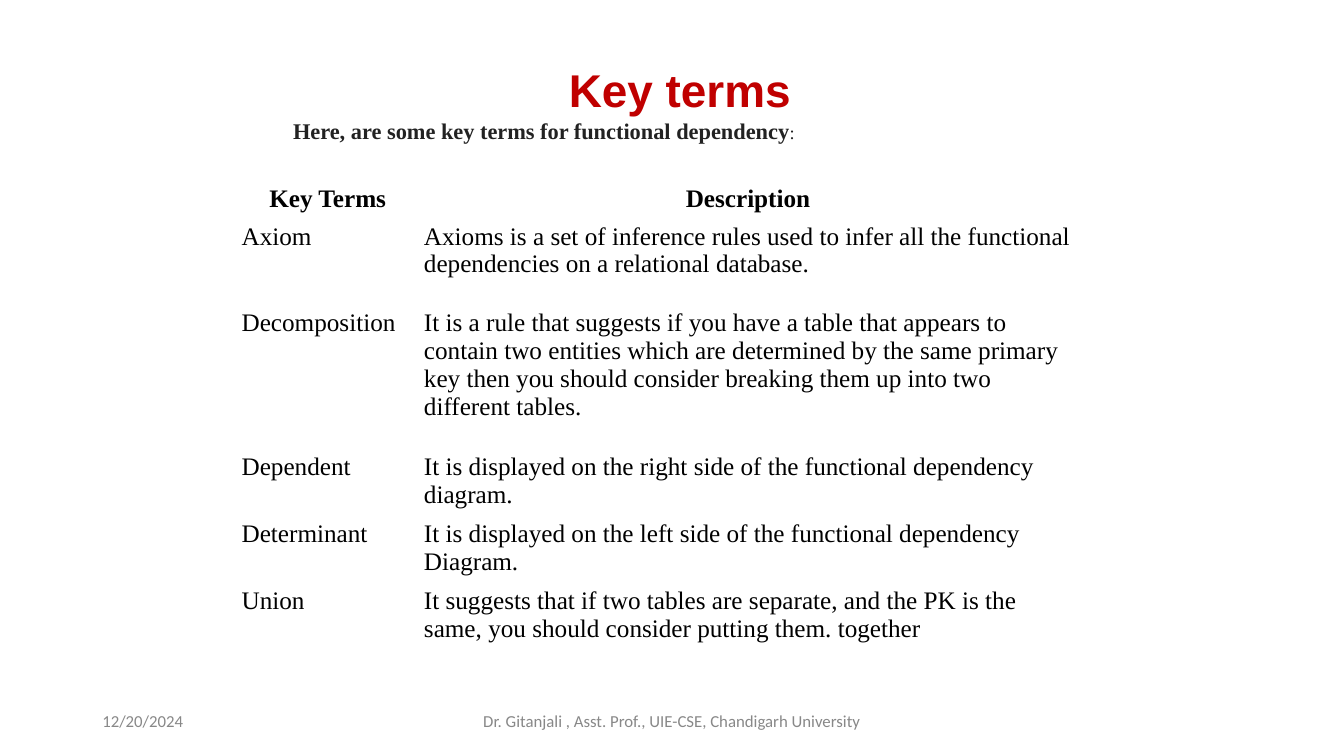
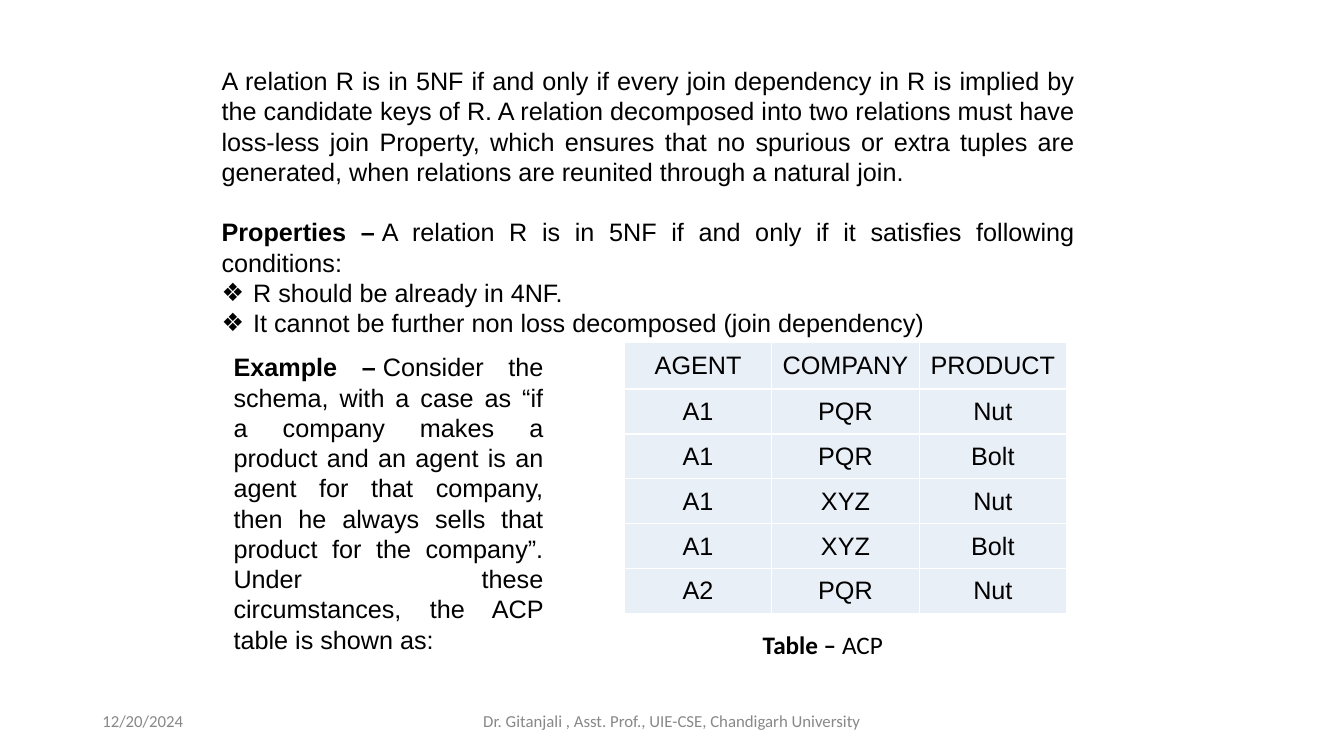
from dataclasses import dataclass

from lxml.etree import SubElement
from pptx import Presentation
from pptx.dml.color import RGBColor
from pptx.enum.shapes import MSO_SHAPE
from pptx.enum.text import MSO_ANCHOR, PP_ALIGN
from pptx.oxml.ns import qn
from pptx.util import Pt


@dataclass(frozen=True)
class Theme:
    black: str = "000000"
    white: str = "FFFFFF"
    title_red: str = "C00000"
    subtitle_gray: str = "222222"
    footer_gray: str = "888888"
    cell_blue: str = "E9EFF7"
    sans: str = "Arial"
    serif: str = "Times New Roman"
    humanist: str = "Calibri"
    title_size: float = 32.8
    body_size: float = 18
    subtitle_size: float = 16
    colon_size: float = 13
    footer_size: float = 12


THEME = Theme()
LEFT, CENTER, JUSTIFY = PP_ALIGN.LEFT, PP_ALIGN.CENTER, PP_ALIGN.JUSTIFY
FIXED_SPACE = chr(160)

DATE = "12/20/2024"
LECTURER = "Dr. Gitanjali , Asst. Prof., UIE-CSE, Chandigarh University"

KEY_TERMS = [
    ("Key Terms", "Description"),
    ("Axiom", "Axioms is a set of inference rules used to infer all the functional "
              "dependencies on a relational database."),
    ("Decomposition", "It is a rule that suggests if you have a table that appears to "
                      "contain two entities which are determined by the same primary key "
                      "then you should consider breaking them up into two different tables."),
    ("Dependent", f"It is displayed on the{FIXED_SPACE}right side of the functional "
                  "dependency diagram."),
    ("Determinant", "It is displayed on the left side of the functional dependency Diagram."),
    ("Union", "It suggests that if two tables are separate, and the PK is the same, "
              "you should consider putting them. together"),
]

ACP = [
    ("AGENT", "COMPANY", "PRODUCT"),
    ("A1", "PQR", "Nut"),
    ("A1", "PQR", "Bolt"),
    ("A1", "XYZ", "Nut"),
    ("A1", "XYZ", "Bolt"),
    ("A2", "PQR", "Nut"),
]

FIFTH_NORMAL_FORM = (
    "A relation R is in 5NF if and only if every join dependency in R is implied by the "
    "candidate keys of R. A relation decomposed into two relations must have loss-less join "
    "Property, which ensures that no spurious or extra tuples are generated, when relations "
    "are reunited through a natural join.")
PROPERTIES = "A relation R is in 5NF if and only if it satisfies following conditions:"
CONDITIONS = [
    "R should be already in 4NF.",
    "It cannot be further non loss decomposed (join dependency)",
]
EXAMPLE = (
    "Consider the schema, with a case as “if a company makes a product and an agent is an "
    "agent for that company, then he always sells that product for the company”. Under these "
    "circumstances, the ACP table is shown as:")


def rgb(color):
    return RGBColor.from_string(color)


def add_run(paragraph, text, font, size=THEME.body_size, color=THEME.black, bold=False):
    run = paragraph.add_run()
    run.text = text
    run.font.name = font
    run.font.size = Pt(size)
    run.font.color.rgb = rgb(color)
    run.font.bold = bold


def add_body(paragraph, text, align=JUSTIFY):
    paragraph.alignment = align
    add_run(paragraph, text, THEME.sans)


def add_led_body(paragraph, lead, text, font=THEME.sans, align=JUSTIFY):
    """Fill a paragraph with a bold lead, a fixed space and regular text."""
    paragraph.alignment = align
    add_run(paragraph, lead, font, bold=True)
    add_run(paragraph, FIXED_SPACE + text, font)


def add_bullet(paragraph, indent=22.5):
    properties = paragraph._p.get_or_add_pPr()
    properties.set("marL", str(Pt(indent)))
    properties.set("indent", str(Pt(-indent)))
    bullet_color = SubElement(properties, qn("a:buClr"))
    SubElement(bullet_color, qn("a:srgbClr"), val=THEME.black)
    SubElement(properties, qn("a:buFont"), typeface=THEME.sans)
    SubElement(properties, qn("a:buChar"), char="❖")


def add_text_frame(slide, left, top, width, height, anchor=MSO_ANCHOR.TOP):
    frame = slide.shapes.add_textbox(Pt(left), Pt(top), Pt(width), Pt(height)).text_frame
    frame.word_wrap = True
    frame.vertical_anchor = anchor
    return frame


def add_footer(slide):
    for text, left, width, align in ((DATE, 66, 216, LEFT), (LECTURER, 318, 324, CENTER)):
        paragraph = add_text_frame(slide, left, 500.5, width, 28.75,
                                   MSO_ANCHOR.MIDDLE).paragraphs[0]
        paragraph.alignment = align
        add_run(paragraph, text, THEME.humanist, THEME.footer_size, THEME.footer_gray)


def add_plain_table(slide, left, top, widths, heights):
    """Add a table without header or band styling."""
    table = slide.shapes.add_table(len(heights), len(widths), Pt(left), Pt(top),
                                   Pt(sum(widths)), Pt(sum(heights))).table
    table.first_row = table.horz_banding = False
    for column, width in zip(table.columns, widths):
        column.width = Pt(width)
    for row, height in zip(table.rows, heights):
        row.height = Pt(height)
    return table


def set_margins(cell, horizontal, vertical):
    cell.margin_left = cell.margin_right = Pt(horizontal)
    cell.margin_top = cell.margin_bottom = Pt(vertical)


def set_borders(cell, color):
    properties = cell._tc.get_or_add_tcPr()
    for position, side in enumerate(("lnL", "lnR", "lnT", "lnB")):
        border = properties.makeelement(qn(f"a:{side}"), {"w": str(Pt(1))})
        fill = SubElement(border, qn("a:solidFill"))
        SubElement(fill, qn("a:srgbClr"), val=color)
        properties.insert(position, border)


def add_key_terms_table(slide):
    table = add_plain_table(slide, 169, 128.25, (130.25, 470.25),
                            (27.1, 61.9, 102.5, 48, 48, 75))
    for row, texts in enumerate(KEY_TERMS):
        for column, text in enumerate(texts):
            cell = table.cell(row, column)
            cell.fill.background()
            set_margins(cell, 3.6, 3.6)
            paragraph = cell.text_frame.paragraphs[0]
            paragraph.alignment = LEFT if row else CENTER
            add_run(paragraph, text, THEME.serif, bold=row == 0)


def add_acp_table(slide):
    table = add_plain_table(slide, 446, 244.75, [105.3] * 3, [33] + [32.1] * 5)
    for row, texts in enumerate(ACP):
        for column, text in enumerate(texts):
            cell = table.cell(row, column)
            cell.fill.solid()
            cell.fill.fore_color.rgb = rgb(THEME.cell_blue)
            cell.vertical_anchor = MSO_ANCHOR.MIDDLE
            set_margins(cell, *((10.8, 5.04) if row else (5.76, 5.76)))
            set_borders(cell, THEME.white)
            add_body(cell.text_frame.paragraphs[0], text, CENTER)


def add_title(slide):
    banner = slide.shapes.add_shape(MSO_SHAPE.RECTANGLE, Pt(202.25), Pt(40.5), Pt(566.5), Pt(66))
    banner.shadow.inherit = False
    banner.fill.solid()
    banner.fill.fore_color.rgb = rgb(THEME.white)
    banner.line.fill.background()
    frame = banner.text_frame
    frame.word_wrap = True
    frame.vertical_anchor = MSO_ANCHOR.MIDDLE
    title = frame.paragraphs[0]
    title.alignment = CENTER
    add_run(title, "Key terms", THEME.sans, THEME.title_size, THEME.title_red, bold=True)
    subtitle = frame.add_paragraph()
    subtitle.alignment = LEFT
    add_run(subtitle, "Here, are some key terms for functional dependency", THEME.serif,
            THEME.subtitle_size, THEME.subtitle_gray, bold=True)
    add_run(subtitle, ":", THEME.serif, THEME.colon_size, THEME.subtitle_gray)


def add_definition(slide):
    frame = add_text_frame(slide, 151.25, 43.25, 623.5, 203.75)
    add_body(frame.paragraphs[0], FIFTH_NORMAL_FORM)
    properties = frame.add_paragraph()
    properties.space_before = Pt(21.6)
    add_led_body(properties, "Properties –", PROPERTIES)
    for text in CONDITIONS:
        condition = frame.add_paragraph()
        add_bullet(condition)
        add_body(condition, text)


def add_example(slide):
    frame = add_text_frame(slide, 159.75, 247.75, 235.5, 225.25)
    add_led_body(frame.paragraphs[0], "Example –", EXAMPLE)


def add_table_caption(slide):
    frame = add_text_frame(slide, 537.75, 445.75, 100.75, 29)
    add_led_body(frame.paragraphs[0], "Table –", "ACP", THEME.humanist, LEFT)


def main():
    presentation = Presentation()
    presentation.slide_width, presentation.slide_height = Pt(960), Pt(540)
    slide_parts = (
        (add_key_terms_table, add_title),
        (add_definition, add_example, add_acp_table, add_table_caption),
    )
    for parts in slide_parts:
        slide = presentation.slides.add_slide(presentation.slide_layouts[6])
        for add_part in (*parts, add_footer):
            add_part(slide)
    presentation.save("out.pptx")


if __name__ == "__main__":
    main()
